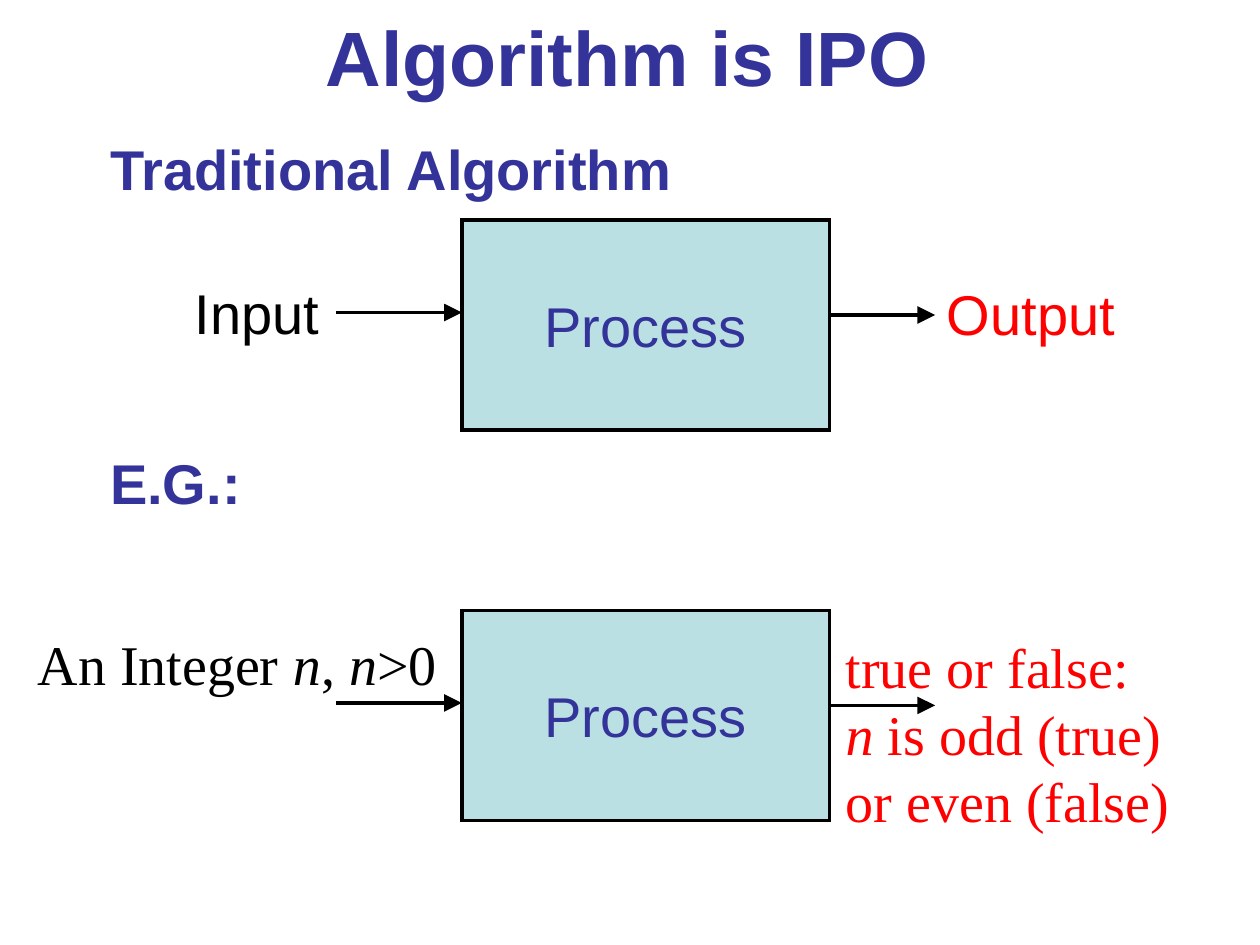
from lxml.etree import SubElement
from pptx import Presentation
from pptx.dml.color import RGBColor
from pptx.enum.shapes import MSO_CONNECTOR as Connector, MSO_SHAPE as Shape
from pptx.enum.text import MSO_ANCHOR as Anchor, PP_ALIGN as Align
from pptx.oxml.ns import qn
from pptx.util import Cm, Pt

BLACK, RED, INDIGO, PALE = "000000", "FF0000", "333399", "BBE0E3"


def color(value):
    return RGBColor.from_string(value)


class Page:
    """Current slide together with its drawing style."""

    sans, serif = "Arial", "Times New Roman"
    text_size, title_size, line_width = Pt(32), Pt(44), Pt(2)

    def __init__(self, deck):
        self.slide = deck.slides.add_slide(deck.slide_layouts[5])
        self.shapes = self.slide.shapes

    def style(self, para, ink, font=sans, size=text_size, bold=False):
        para.font.name, para.font.size, para.font.bold = font, size, bold
        para.font.color.rgb = color(ink)

    def title(self, words, left, top, width, height):
        box = self.shapes.title
        box.left, box.top, box.width, box.height = map(Cm, (left, top, width, height))
        frame = box.text_frame
        frame.text = words
        frame.vertical_anchor = Anchor.MIDDLE
        para = frame.paragraphs[0]
        para.alignment = Align.CENTER
        self.style(para, INDIGO, size=self.title_size, bold=True)

    def text(self, lines, left, top, width, height, ink, font=sans, bold=False):
        """Each line is a list of spans; a span "n" is set in italics."""
        box = self.shapes.add_textbox(*map(Cm, (left, top, width, height)))
        frame = box.text_frame
        frame.word_wrap = True
        for index, spans in enumerate(lines):
            para = frame.add_paragraph() if index else frame.paragraphs[0]
            self.style(para, ink, font, bold=bold)
            for words in spans:
                span = para.add_run()
                span.text = words
                if words == "n":
                    span.font.italic = True

    def process(self, left, top, width, height):
        box = self.shapes.add_shape(Shape.RECTANGLE, *map(Cm, (left, top, width, height)))
        box.shadow.inherit = False
        box.fill.solid()
        box.fill.fore_color.rgb = color(PALE)
        box.line.color.rgb = color(BLACK)
        box.line.width = self.line_width
        SubElement(box.line._get_or_add_ln(), qn("a:miter"), lim="800000")
        frame = box.text_frame
        frame.text = "Process"
        frame.word_wrap = False
        frame.vertical_anchor = Anchor.MIDDLE
        para = frame.paragraphs[0]
        para.alignment = Align.CENTER
        self.style(para, INDIGO)

    def arrow(self, start, end, y):
        link = self.shapes.add_connector(
            Connector.STRAIGHT, Cm(start), Cm(y), Cm(end), Cm(y))
        link.line.color.rgb = color(BLACK)
        link.line.width = self.line_width
        SubElement(link.line._get_or_add_ln(), qn("a:tailEnd"),
                   type="triangle", w="lg", len="lg")
        SubElement(link._element.spPr, qn("a:effectLst"))


def main():
    deck = Presentation()
    deck.slide_width, deck.slide_height = Cm(25.4), Cm(19.05)
    page = Page(deck)
    page.title("Algorithm is IPO", 1.22, -0.46, 22.86, 3.18)

    # Section headings
    for words, top in (("Traditional Algorithm", 2.58), ("E.G.:", 8.92)):
        page.text([[words]], 1.97, top, 20, 1.63, INDIGO, bold=True)

    # Process boxes with an arrow in and an arrow out
    left, width = 9.31, 7.41
    right = left + width
    for top in (4.44, 12.31):
        page.process(left, top, width, 4.23)
        page.arrow(6.78, left, top + 1.86)
        page.arrow(right, 18.85, top + 1.91)

    # General input and output
    page.text([["Input"]], 3.68, 5.49, 3.2, 1.63, BLACK)
    page.text([["Output"]], 18.84, 5.51, 4.2, 1.63, RED)

    # Example input and output
    page.text([["An Integer ", "n", ", ", "n", ">0"]],
              0.51, 12.57, 9.45, 1.63, BLACK, page.serif)
    page.text([["true or false:"], ["n", " is odd (true)"], ["or even (false)"]],
              16.8, 12.62, 8.6, 4.37, RED, page.serif)

    deck.save("out.pptx")


if __name__ == "__main__":
    main()
